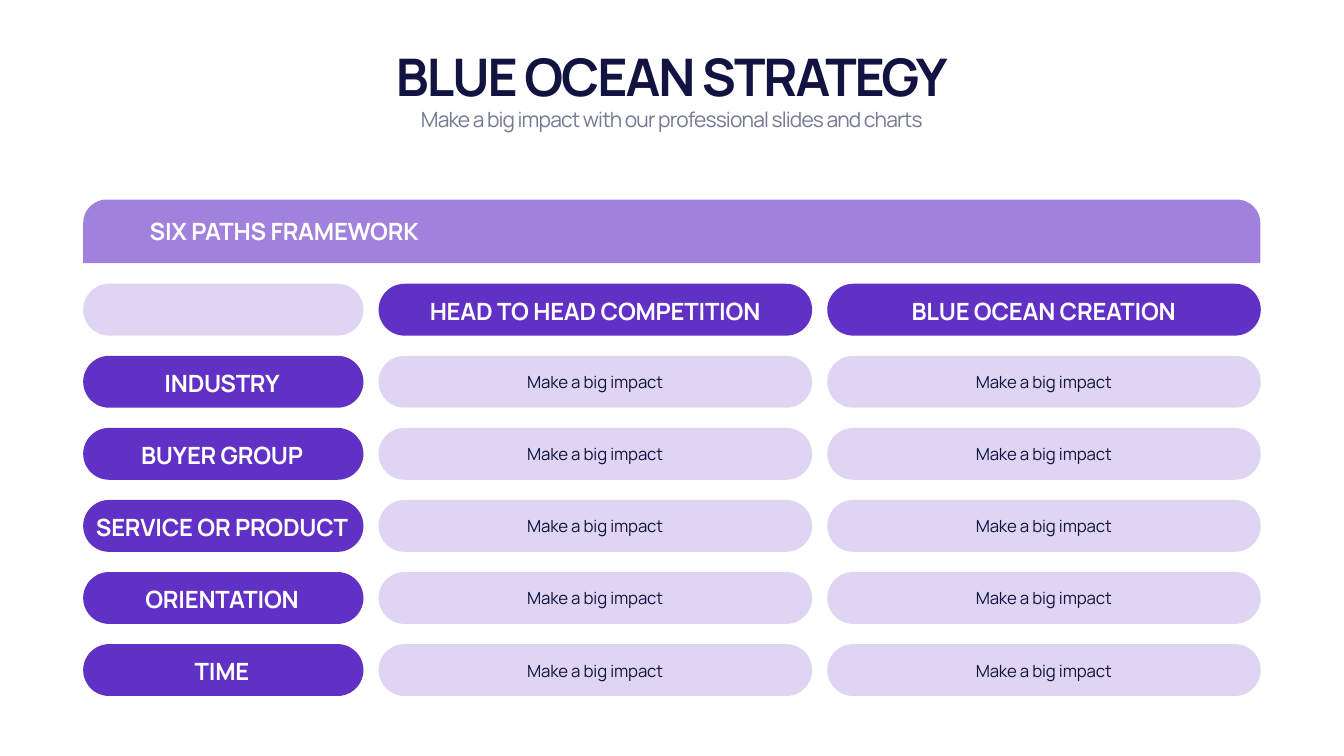
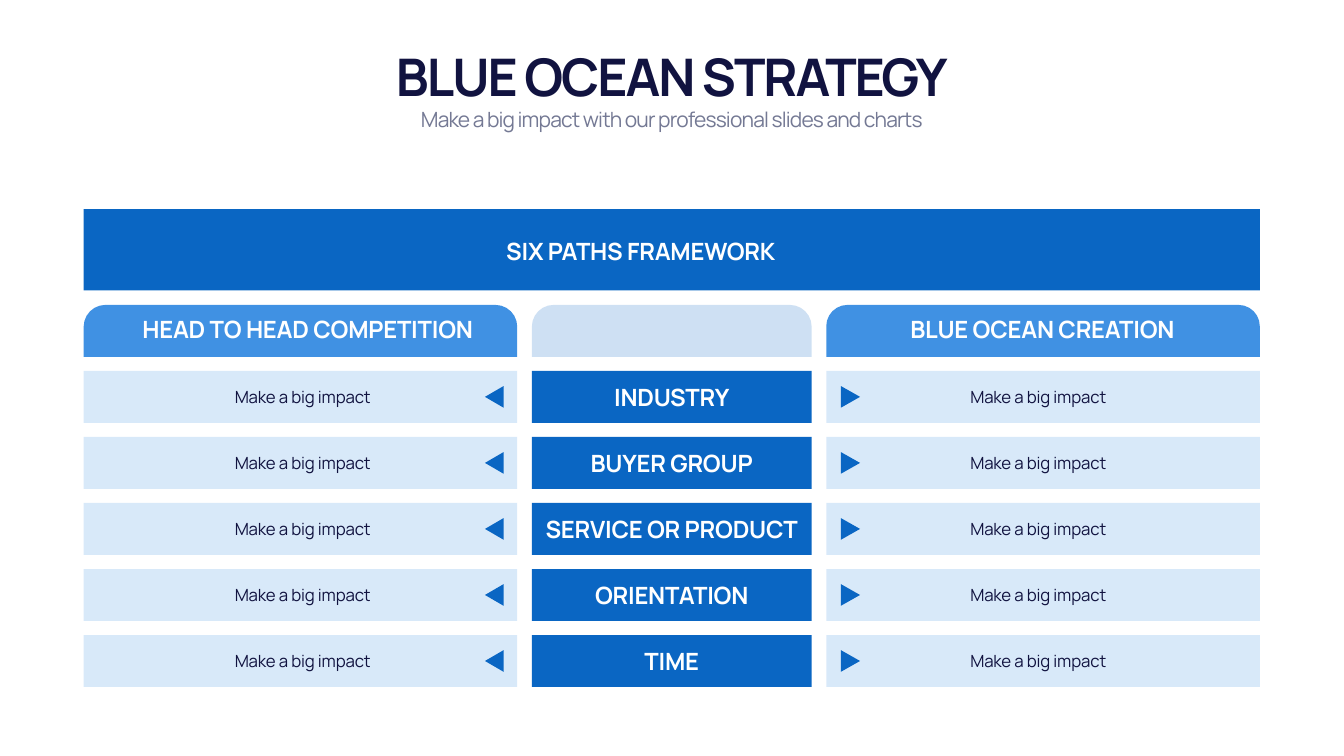
from dataclasses import dataclass
from typing import Optional

from lxml.etree import SubElement
from pptx import Presentation
from pptx.dml.color import RGBColor
from pptx.enum.shapes import MSO_SHAPE
from pptx.enum.text import MSO_ANCHOR, MSO_AUTO_SIZE, PP_ALIGN
from pptx.oxml.ns import qn
from pptx.util import Inches, Pt

COLORS = {
    "ink": "111340",
    "muted": "747994",
    "white": "FFFFFF",
    "purple": "6130C5",
    "blue": "0A66C3",
    "sky": "4091E3",
}
FONT = "Manrope"
TITLE = "BLUE OCEAN STRATEGY"
SUBTITLE = "Make a big impact with our professional slides and charts"
FRAMEWORK = "SIX PATHS FRAMEWORK"
COMPETITION = "HEAD TO HEAD COMPETITION"
CREATION = "BLUE OCEAN CREATION"
PATHS = ["INDUSTRY", "BUYER GROUP", "SERVICE OR PRODUCT", "ORIENTATION", "TIME"]
VALUE = "Make a big impact"
ROW_HEIGHT = 1.03
LABEL_HEIGHT = 0.67
VALUE_HEIGHT = 0.58
PALE = 20


@dataclass
class Box:
    left: float
    top: float
    width: float
    height: float

    def lengths(self) -> tuple:
        return tuple(Inches(n) for n in (self.left, self.top, self.width, self.height))


@dataclass
class Paint:
    color: str
    opacity: int = 100


@dataclass
class Column:
    left: float
    width: float
    header: str
    header_left: float
    header_width: float
    text_left: float
    text_width: float
    header_paint: Paint
    row_paint: Paint
    header_radius: float = 0.5
    labels: Optional[list] = None
    arrow_tip: Optional[float] = None
    arrow_base: Optional[float] = None


@dataclass
class Grid:
    header_top: float
    pitch: float
    header_shape: MSO_SHAPE
    row_shape: MSO_SHAPE
    header_offset: float
    label_offset: float
    value_offset: float


def paint_shape(shape, paint: Paint) -> None:
    shape.shadow.inherit = False
    shape.line.fill.background()
    shape.fill.solid()
    shape.fill.fore_color.rgb = RGBColor.from_string(COLORS[paint.color])
    if paint.opacity < 100:
        color = shape.element.spPr.find(f"{qn('a:solidFill')}/{qn('a:srgbClr')}")
        SubElement(color, qn("a:alpha")).set("val", str(paint.opacity * 1000))


def add_panel(slide, kind: MSO_SHAPE, box: Box, paint: Paint, radius: float = 0.5) -> None:
    shape = slide.shapes.add_shape(kind, *box.lengths())
    if len(shape.adjustments):
        shape.adjustments[0] = radius
    paint_shape(shape, paint)


def add_arrow(slide, base: float, tip: float, top: float) -> None:
    height = 0.43
    builder = slide.shapes.build_freeform(Inches(tip), Inches(top + height / 2))
    builder.add_line_segments(
        [(Inches(base), Inches(top + height)), (Inches(base), Inches(top))], close=True
    )
    paint_shape(builder.convert_to_shape(), Paint("blue"))


def write_text(slide, text: str, box: Box, *, shape=None, size: float = 34,
               color: str = "white", bold: bool = True, spacing: float = -0.3,
               align: PP_ALIGN = PP_ALIGN.CENTER, anchor: MSO_ANCHOR = MSO_ANCHOR.MIDDLE,
               line_spacing: Optional[float] = None) -> None:
    shape = shape or slide.shapes.add_textbox(*box.lengths())
    shape.left, shape.top, shape.width, shape.height = box.lengths()
    frame = shape.text_frame
    frame.word_wrap = True
    frame.auto_size = MSO_AUTO_SIZE.SHAPE_TO_FIT_TEXT
    frame.vertical_anchor = anchor
    paragraph = frame.paragraphs[0]
    paragraph.alignment = align
    if line_spacing:
        paragraph.line_spacing = Pt(line_spacing)
    run = paragraph.add_run()
    run.text = text
    run.font.name = FONT
    run.font.size = Pt(size)
    run.font.bold = bold
    run.font.color.rgb = RGBColor.from_string(COLORS[color])
    for properties in shape.element.iter(qn("a:rPr")):
        properties.set("spc", str(round(spacing * 100)))


def add_titled_slide(presentation):
    slide = presentation.slides.add_slide(presentation.slide_layouts[5])
    write_text(slide, TITLE, Box(1.66, 0.82, 23.33, 1.35), shape=slide.shapes.title,
               size=74, color="ink", spacing=-2.9, anchor=MSO_ANCHOR.BOTTOM)
    write_text(slide, SUBTITLE, Box(1.66, 2.07, 23.33, 0.61), size=30, color="muted",
               bold=False, spacing=-1.2, anchor=MSO_ANCHOR.TOP)
    return slide


def add_column(slide, column: Column, grid: Grid) -> None:
    add_panel(slide, grid.header_shape,
              Box(column.left, grid.header_top, column.width, ROW_HEIGHT),
              column.header_paint, column.header_radius)
    if column.header:
        write_text(slide, column.header,
                   Box(column.header_left, grid.header_top + grid.header_offset,
                       column.header_width, LABEL_HEIGHT))
    for index in range(len(PATHS)):
        top = grid.header_top + (index + 1) * grid.pitch
        add_panel(slide, grid.row_shape, Box(column.left, top, column.width, ROW_HEIGHT),
                  column.row_paint)
        if column.arrow_tip:
            add_arrow(slide, column.arrow_base, column.arrow_tip, top + 0.3)
        if column.labels:
            write_text(slide, column.labels[index],
                       Box(column.text_left, top + grid.label_offset,
                           column.text_width, LABEL_HEIGHT))
        else:
            write_text(slide, VALUE,
                       Box(column.text_left, top + grid.value_offset,
                           column.text_width, VALUE_HEIGHT),
                       size=24, color="ink", bold=False, spacing=-0.2, line_spacing=36)


def build_purple_slide(presentation) -> None:
    slide = add_titled_slide(presentation)
    solid, pale = Paint("purple"), Paint("purple", PALE)
    add_panel(slide, MSO_SHAPE.ROUND_2_SAME_RECTANGLE, Box(1.65, 3.96, 23.35, 1.26),
              Paint("purple", 60), 0.37)
    write_text(slide, FRAMEWORK, Box(2.87, 4.25, 10.46, LABEL_HEIGHT), align=PP_ALIGN.LEFT)
    grid = Grid(5.63, 1.43, MSO_SHAPE.ROUNDED_RECTANGLE, MSO_SHAPE.ROUNDED_RECTANGLE,
                0.2, 0.2, 0.18)
    columns = [
        Column(1.65, 5.56, "", 1.71, 5.39, 1.71, 5.39, pale, solid, labels=PATHS),
        Column(7.51, 8.6, COMPETITION, 7.8, 8.01, 7.8, 8.01, solid, pale),
        Column(16.41, 8.6, CREATION, 16.7, 8.01, 16.7, 8.01, solid, pale),
    ]
    for column in columns:
        add_column(slide, column, grid)


def build_blue_slide(presentation) -> None:
    slide = add_titled_slide(presentation)
    solid, pale_blue = Paint("blue"), Paint("blue", PALE)
    sky, pale_sky = Paint("sky"), Paint("sky", PALE)
    add_panel(slide, MSO_SHAPE.RECTANGLE, Box(1.66, 4.15, 23.33, 1.61), solid)
    write_text(slide, FRAMEWORK, Box(8.1, 4.65, 9.22, LABEL_HEIGHT))
    grid = Grid(6.05, 1.31, MSO_SHAPE.ROUND_2_SAME_RECTANGLE, MSO_SHAPE.RECTANGLE,
                0.15, 0.18, 0.18)
    columns = [
        Column(1.66, 8.6, COMPETITION, 2.43, 7.35, 2.73, 6.55, sky, pale_sky, 0.42,
               arrow_tip=9.62, arrow_base=9.99),
        Column(10.55, 5.55, "", 10.63, 5.39, 10.63, 5.39, pale_blue, solid, 0.42,
               labels=PATHS),
        Column(16.39, 8.6, CREATION, 17.13, 7.1, 17.32, 6.55, sky, pale_sky, 0.41,
               arrow_tip=17.06, arrow_base=16.68),
    ]
    for column in columns:
        add_column(slide, column, grid)


def main() -> None:
    presentation = Presentation()
    presentation.slide_width = Inches(26.66)
    presentation.slide_height = Inches(15)
    build_purple_slide(presentation)
    build_blue_slide(presentation)
    presentation.save("out.pptx")


if __name__ == "__main__":
    main()
